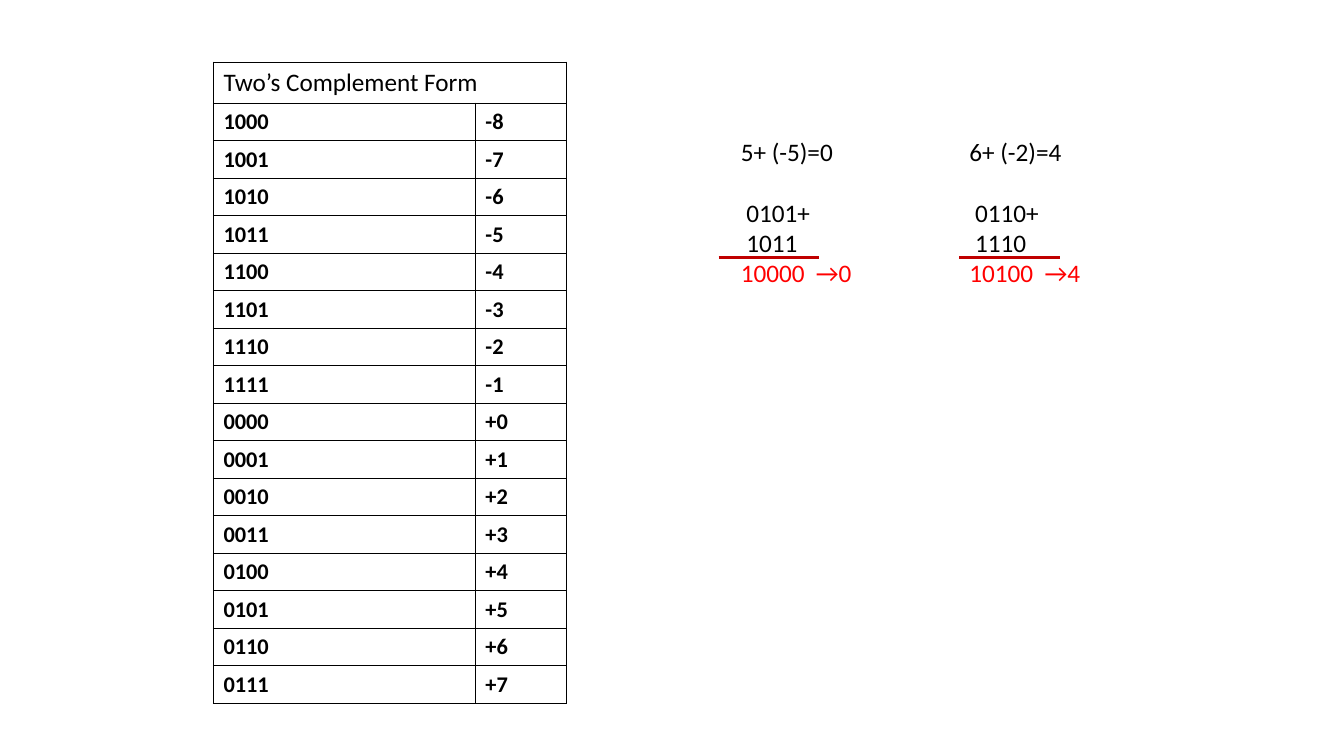
from lxml import etree
from pptx import Presentation, util as u
from pptx.dml.color import RGBColor
from pptx.enum import shapes, text
from pptx.oxml.ns import qn

FONT = "Calibri"
BLACK, RED, DARK_RED = "000000", "FF0000", "C00000"
BITS = 4


def color(hex_string):
    return RGBColor.from_string(hex_string)


def add_run(paragraph, content, size=18, bold=False, ink=BLACK):
    run = paragraph.add_run()
    run.text = content
    run.font.name = FONT
    run.font.size = u.Pt(size)
    run.font.bold = bold
    run.font.color.rgb = color(ink)
    return run


def add_borders(cell):
    properties = cell._tc.get_or_add_tcPr()
    for side in ("a:lnL", "a:lnR", "a:lnT", "a:lnB"):
        line = etree.SubElement(properties, qn(side), w=str(u.Pt(1)))
        fill = etree.SubElement(line, qn("a:solidFill"))
        etree.SubElement(fill, qn("a:srgbClr"), val=BLACK)


def add_complement_table(slide):
    """List every 4-bit pattern with its signed value, under a merged title."""
    half = 2 ** (BITS - 1)
    values = range(-half, half)
    frame = slide.shapes.add_table(len(values) + 1, 2, u.Cm(5.38), u.Cm(1.57),
                                   u.Cm(8.89), u.Cm(15.93))
    table = frame.table
    table.first_row = table.horz_banding = False
    table.columns[0].width = u.Cm(6.6)
    table.columns[1].width = u.Cm(2.29)
    for cell in table.iter_cells():
        add_borders(cell)
        cell.fill.background()

    title = table.cell(0, 0)
    title.merge(table.cell(0, 1))
    add_run(title.text_frame.paragraphs[0], "Two’s Complement Form")
    for row, value in enumerate(values, start=1):
        pattern = f"{value % 2 ** BITS:0{BITS}b}"
        sign = f"{value:+d}"
        for column, content in enumerate((pattern, sign)):
            paragraph = table.cell(row, column).text_frame.paragraphs[0]
            add_run(paragraph, content, size=16, bold=True)


def add_sum(slide, left, equation, first, second, total, result):
    """Write an equation and, below it, its binary addition."""
    box = slide.shapes.add_textbox(u.Cm(left), u.Cm(3.3), u.Cm(4.67), u.Cm(4.88))
    frame = box.text_frame
    frame.word_wrap = True
    frame.auto_size = text.MSO_AUTO_SIZE.SHAPE_TO_FIT_TEXT
    heading = frame.paragraphs[0]
    heading.space_after = u.Pt(22)
    add_run(heading, equation)
    for operand in (f" {first}+", f" {second}"):
        add_run(frame.add_paragraph(), operand)
    answer = frame.add_paragraph()
    add_run(answer, total, ink=RED)
    gap = add_run(answer, " ", ink=RED)
    gap._r.get_or_add_rPr().set("spc", "400")
    add_run(answer, f"→{result}", ink=RED)


def add_sum_line(slide, left):
    top = u.Cm(6.48)
    line = slide.shapes.add_connector(shapes.MSO_CONNECTOR.STRAIGHT,
                                      u.Cm(left), top, u.Cm(left + 2.54), top)
    line.line.color.rgb = color(DARK_RED)
    line.line.width = u.Pt(2.25)
    etree.SubElement(line._element.spPr, qn("a:effectLst"))


def main():
    presentation = Presentation()
    presentation.slide_width = u.Cm(33.87)
    presentation.slide_height = u.Cm(19.05)
    slide = presentation.slides.add_slide(presentation.slide_layouts[6])

    add_complement_table(slide)
    add_sum(slide, 18.42, "5+ (-5)=0", "0101", "1011", "10000", "0")
    add_sum_line(slide, 18.11)
    add_sum(slide, 24.18, "6+ (-2)=4", "0110", "1110", "10100", "4")
    add_sum_line(slide, 24.18)
    presentation.save("out.pptx")


if __name__ == "__main__":
    main()
